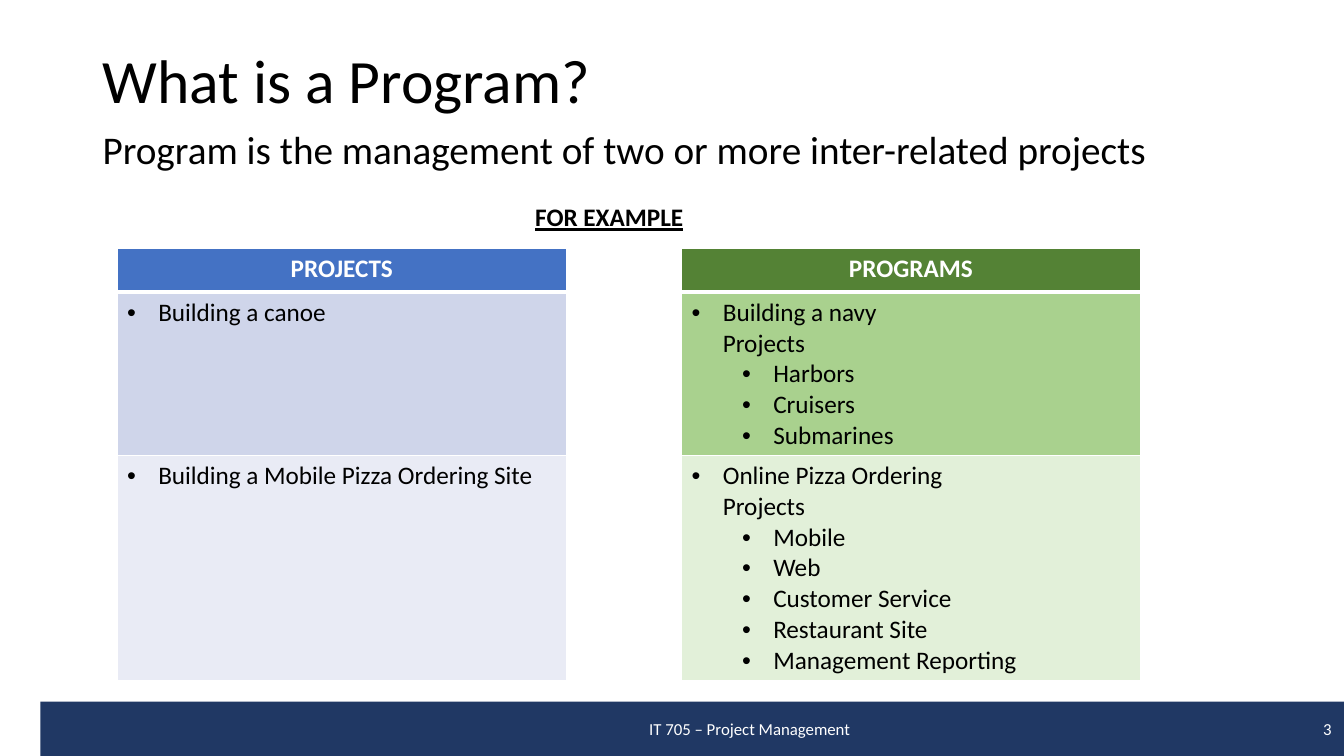
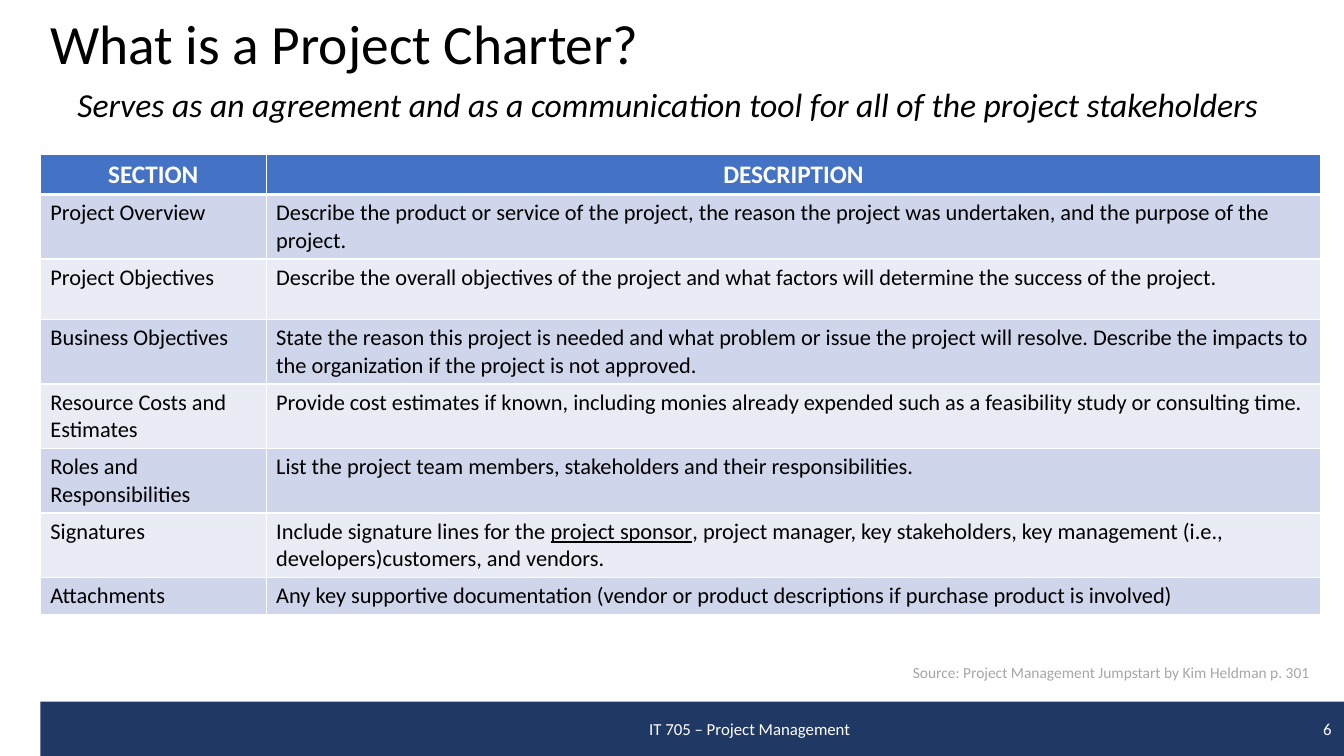
from lxml import etree
from pptx import Presentation
from pptx import util as u
from pptx.dml.color import RGBColor
from pptx.enum import shapes, text
from pptx.oxml import ns

PX = 9144
FONT = "Calibri"
BLACK, WHITE, NAVY, GRAY = "000000", "FFFFFF", "203864", "A6A6A6"
BLUE, BLUE_MID, BLUE_PALE = "4472C4", "CFD5EA", "E9EBF5"
GREEN, GREEN_MID, GREEN_PALE = "548235", "A9D18E", "E2F0D9"
CENTER, RIGHT = text.PP_ALIGN.CENTER, text.PP_ALIGN.RIGHT

NAVY_PROJECTS = ["Harbors", "Cruisers", "Submarines"]
PIZZA_PROJECTS = ["Mobile", "Web", "Customer Service", "Restaurant Site",
                  "Management Reporting"]
CHARTER = [
    ("Project Overview", "Describe the product or service of the project, the reason the "
     "project was undertaken, and the purpose of the project."),
    ("Project Objectives", "Describe the overall objectives of the project and what factors "
     "will determine the success of the project."),
    ("Business Objectives", "State the reason this project is needed and what problem or issue "
     "the project will resolve. Describe the impacts to the organization if the project is not "
     "approved."),
    ("Resource Costs and Estimates", "Provide cost estimates if known, including monies already "
     "expended such as a feasibility study or consulting time."),
    ("Roles and Responsibilities", "List the project team members, stakeholders and their "
     "responsibilities."),
    ("Signatures", "Include signature lines for the _project sponsor_, project manager, key "
     "stakeholders, key management (i.e., developers)customers, and vendors."),
    ("Attachments", "Any key supportive documentation (vendor or product descriptions if "
     "purchase product is involved)"),
]


def px(n):
    """Turn px into EMU."""
    return u.Emu(n * PX)


def rgb(color):
    """Turn a hex string into a colour."""
    return RGBColor.from_string(color)


def sub(parent, tag, **attrs):
    """Append an XML child in the drawing namespace."""
    return etree.SubElement(parent, ns.qn(tag), {k: str(v) for k, v in attrs.items()})


def write(p, content, size=18, color=BLACK, bold=False, italic=False, align=None, spacing=None):
    """Fill a paragraph; _marks_ underline, and a newline breaks the line."""
    if align is not None:
        p.alignment = align
    if spacing:
        p.line_spacing = spacing
    for i, part in enumerate(content.split("_")):
        for j, line in enumerate(part.split("\n")):
            if j:
                p.add_line_break()
            if line:
                r = p.add_run()
                r.text = line
                r.font.name, r.font.size = FONT, u.Pt(size)
                r.font.bold, r.font.italic = bold, italic
                r.font.underline = i % 2 == 1
                r.font.color.rgb = rgb(color)


def bullets(tf, head, items=()):
    """Write a bulleted heading with second-level bullets under it."""
    for i, item in enumerate([head, *items]):
        p = tf.add_paragraph() if i else tf.paragraphs[0]
        p.level = min(i, 1)
        pPr = p._p.get_or_add_pPr()
        pPr.set("marL", str(px(81 if i else 31)))
        pPr.set("indent", str(-px(31)))
        sub(pPr, "a:buFont", typeface="Arial")
        sub(pPr, "a:buChar", char="•")
        write(p, item)


def textbox(s, box, content, wrap=True, **fmt):
    """Add a one-paragraph text box."""
    tf = s.shapes.add_textbox(*map(px, box)).text_frame
    tf.word_wrap = wrap
    write(tf.paragraphs[0], content, **fmt)


def footer(s, number):
    """Add the band with the course name and the page number."""
    sp = s.shapes.add_shape(shapes.MSO_SHAPE.RECTANGLE, *map(px, (40, 696, 1294, 54)))
    sp.shadow.inherit = False
    sp.fill.solid()
    sp.fill.fore_color.rgb = rgb(NAVY)
    sp.line.fill.background()
    sp.text_frame.vertical_anchor = text.MSO_ANCHOR.MIDDLE
    p = sp.text_frame.paragraphs[0]
    tabs = sub(p._p.get_or_add_pPr(), "a:tabLst")
    sub(tabs, "a:tab", pos=px(594), algn="l")
    sub(tabs, "a:tab", pos=px(1271), algn="r")
    write(p, f"\tIT 705 – Project Management\t{number}", size=12, color=WHITE,
          align=text.PP_ALIGN.LEFT)


def titled_slide(prs, title, box, size, number):
    """Add a slide with its title and footer."""
    s = prs.slides.add_slide(prs.slide_layouts[5])
    sp = s.shapes.title
    sp.left, sp.top, sp.width, sp.height = map(px, box)
    tf = sp.text_frame
    tf.auto_size = text.MSO_AUTO_SIZE.NONE
    tf.vertical_anchor = text.MSO_ANCHOR.MIDDLE
    write(tf.paragraphs[0], title, size=size, align=text.PP_ALIGN.LEFT, spacing=0.9)
    footer(s, number)
    return s


def style_cell(cell, fill, header):
    """Give a cell white borders and a plain fill."""
    tcPr = cell._tc.get_or_add_tcPr()
    for side in "LRTB":
        width = 3 if header and side == "B" else 1
        ln = sub(tcPr, f"a:ln{side}", w=u.Pt(width))
        sub(sub(ln, "a:solidFill"), "a:srgbClr", val=WHITE)
    cell.fill.solid()
    cell.fill.fore_color.rgb = rgb(fill)


def table(s, left, top, cols, rows, fills, headers):
    """Add a table with a filled grid and a header row."""
    box = (left, top, sum(cols), sum(rows))
    t = s.shapes.add_table(len(rows), len(cols), *map(px, box)).table
    for col, width in zip(t.columns, cols):
        col.width = px(width)
    for i, height in enumerate(rows):
        t.rows[i].height = px(height)
        for j, fill in enumerate(fills[i]):
            style_cell(t.cell(i, j), fill, i == 0)
    for j, header in enumerate(headers):
        write(t.cell(0, j).text_frame.paragraphs[0], header, color=WHITE, bold=True, align=CENTER)
    return t


def program_slide(prs):
    """Compare projects with programs."""
    s = titled_slide(prs, "What is a Program?", (92, 10, 1150, 145), 44, 3)
    textbox(s, (92, 125, 1150, 73),
            "Program is the management of two or more inter-related projects",
            size=28, spacing=0.9)
    fills = [(BLUE, WHITE, GREEN), (BLUE_MID, WHITE, GREEN_MID), (BLUE_PALE, WHITE, GREEN_PALE)]
    t = table(s, 116, 246, (446, 114, 455), (44, 162, 223), fills, ("PROJECTS", "", "PROGRAMS"))
    bullets(t.cell(1, 0).text_frame, "Building a canoe")
    bullets(t.cell(1, 2).text_frame, "Building a navy\nProjects", NAVY_PROJECTS)
    bullets(t.cell(2, 0).text_frame, "Building a Mobile Pizza Ordering Site")
    bullets(t.cell(2, 2).text_frame, "Online Pizza Ordering\nProjects", PIZZA_PROJECTS)
    textbox(s, (521, 195, 168, 40), "_FOR EXAMPLE_", wrap=False, bold=True)


def charter_slide(prs):
    """List the sections of a project charter."""
    s = titled_slide(prs, "What is a Project Charter?", (40, 11, 1202, 71), 39.6, 6)
    textbox(s, (67, 83, 1267, 74),
            "Serves as an agreement and as a communication tool for all of the project stakeholders",
            size=24, italic=True, spacing=0.9)
    rows = (40, 64, 60, 64, 64, 64, 64, 37)
    fills = [(BLUE,) * 2] + [((BLUE_MID, BLUE_PALE)[i % 2],) * 2 for i in range(len(CHARTER))]
    t = table(s, 40, 153, (224, 1046), rows, fills, ("SECTION", "DESCRIPTION"))
    for i, entry in enumerate(CHARTER, 1):
        for j, content in enumerate(entry):
            write(t.cell(i, j).text_frame.paragraphs[0], content, size=16)
    textbox(s, (757, 653, 552, 29), "Source: Project Management Jumpstart by Kim Heldman p. 301",
            size=11, color=GRAY, align=RIGHT)


def main():
    """Build and save the deck."""
    prs = Presentation()
    prs.slide_width, prs.slide_height = px(1333), px(750)
    program_slide(prs)
    charter_slide(prs)
    prs.save("out.pptx")


if __name__ == "__main__":
    main()
